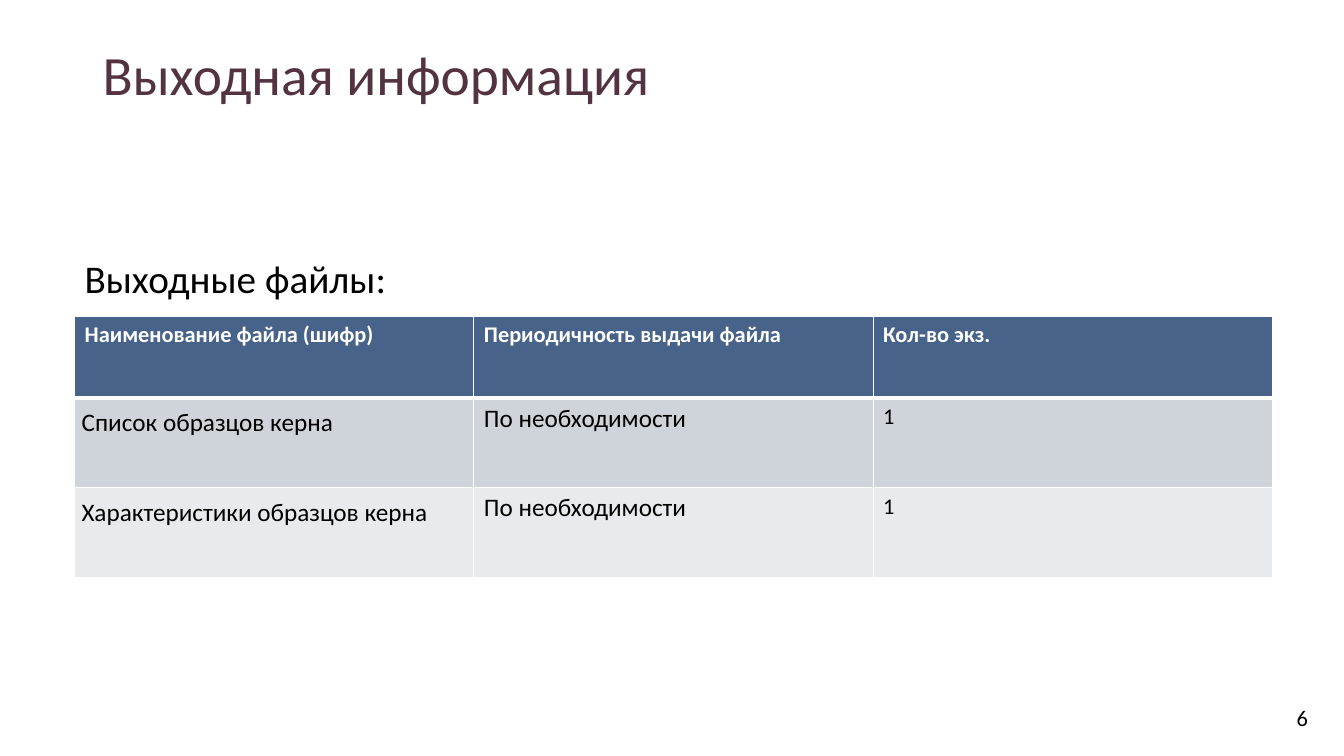
from lxml.etree import SubElement
from pptx import Presentation
from pptx.dml.color import RGBColor
from pptx.enum.text import MSO_ANCHOR, PP_ALIGN
from pptx.oxml.ns import qn
from pptx.util import Inches, Pt

FONT = "Calibri"
PLUM = RGBColor(0x53, 0x33, 0x41)
BLACK = RGBColor(0, 0, 0)
WHITE = RGBColor(0xFF, 0xFF, 0xFF)
HEADER_BLUE = RGBColor(0x48, 0x63, 0x89)
BANDS = (RGBColor(0xCF, 0xD3, 0xDA), RGBColor(0xE9, 0xEA, 0xED))

HEADER = ("Наименование файла (шифр)", "Периодичность выдачи файла", "Кол-во экз.")
FILES = (
    ("Список образцов керна", "По необходимости", "1"),
    ("Характеристики образцов керна", "По необходимости", "1"),
)
BODY_SIZES = (18, 18, 16)
HEADER_HEIGHT, ROW_HEIGHT = 0.81, 0.89


def write(frame, text, size, color, bold=False, spacing=1.0, align=PP_ALIGN.LEFT):
    para = frame.paragraphs[0]
    para.alignment = align
    para.line_spacing = spacing
    span = para.add_run()
    span.text = text
    span.font.name = FONT
    span.font.size = Pt(size)
    span.font.bold = bold
    span.font.color.rgb = color


def add_text(page, box, text, size, color, anchor=MSO_ANCHOR.MIDDLE, **style):
    frame = page.shapes.add_textbox(*map(Inches, box)).text_frame
    frame.word_wrap = True
    frame.vertical_anchor = anchor
    write(frame, text, size, color, **style)


def add_borders(cell, top, bottom):
    """Draw white cell borders; top and bottom are widths in points."""
    properties = cell._tc.get_or_add_tcPr()
    for side, width in (("L", 1), ("R", 1), ("T", top), ("B", bottom)):
        line = SubElement(properties, qn(f"a:ln{side}"), w=str(Pt(width)))
        fill = SubElement(line, qn("a:solidFill"))
        SubElement(fill, qn("a:srgbClr"), val=str(WHITE))


def fill_cell(cell, row, column, text):
    is_header = row == 0
    add_borders(cell, top=3 if row == 1 else 1, bottom=3 if is_header else 1)
    cell.fill.solid()
    cell.fill.fore_color.rgb = HEADER_BLUE if is_header else BANDS[(row - 1) % 2]
    if is_header:
        write(cell.text_frame, text, 16, WHITE, bold=True)
        return
    is_name = column == 0
    if is_name:
        cell.margin_left = cell.margin_right = Inches(0.07)
        cell.margin_top = cell.margin_bottom = 0
    write(cell.text_frame, text, BODY_SIZES[column], BLACK,
          spacing=1.3 if is_name else 1.0)


def add_file_table(page, left, top, width):
    rows = (HEADER, *FILES)
    heights = [HEADER_HEIGHT] + [ROW_HEIGHT] * len(FILES)
    box = map(Inches, (left, top, width, sum(heights)))
    table = page.shapes.add_table(len(rows), len(HEADER), *box).table
    for column in table.columns:
        column.width = Inches(width / len(HEADER))
    for row, (height, texts) in enumerate(zip(heights, rows)):
        table.rows[row].height = Inches(height)
        for column, text in enumerate(texts):
            fill_cell(table.cell(row, column), row, column, text)


def build_output_page(page):
    add_text(page, (0.92, 0.4, 11.5, 0.73), "Выходная информация", 39.6, PLUM,
             spacing=0.9)
    add_text(page, (0.74, 2.56, 10.51, 0.48), "Выходные файлы:", 28, BLACK,
             anchor=MSO_ANCHOR.TOP, spacing=0.8)
    add_file_table(page, 0.74, 3.14, 11.88)
    add_text(page, (10.07, 6.92, 3, 0.4), "6", 16, BLACK, align=PP_ALIGN.RIGHT)


def main():
    deck = Presentation()
    deck.slide_width, deck.slide_height = Inches(13.33), Inches(7.5)
    build_output_page(deck.slides.add_slide(deck.slide_layouts[6]))
    deck.save("out.pptx")


if __name__ == "__main__":
    main()
